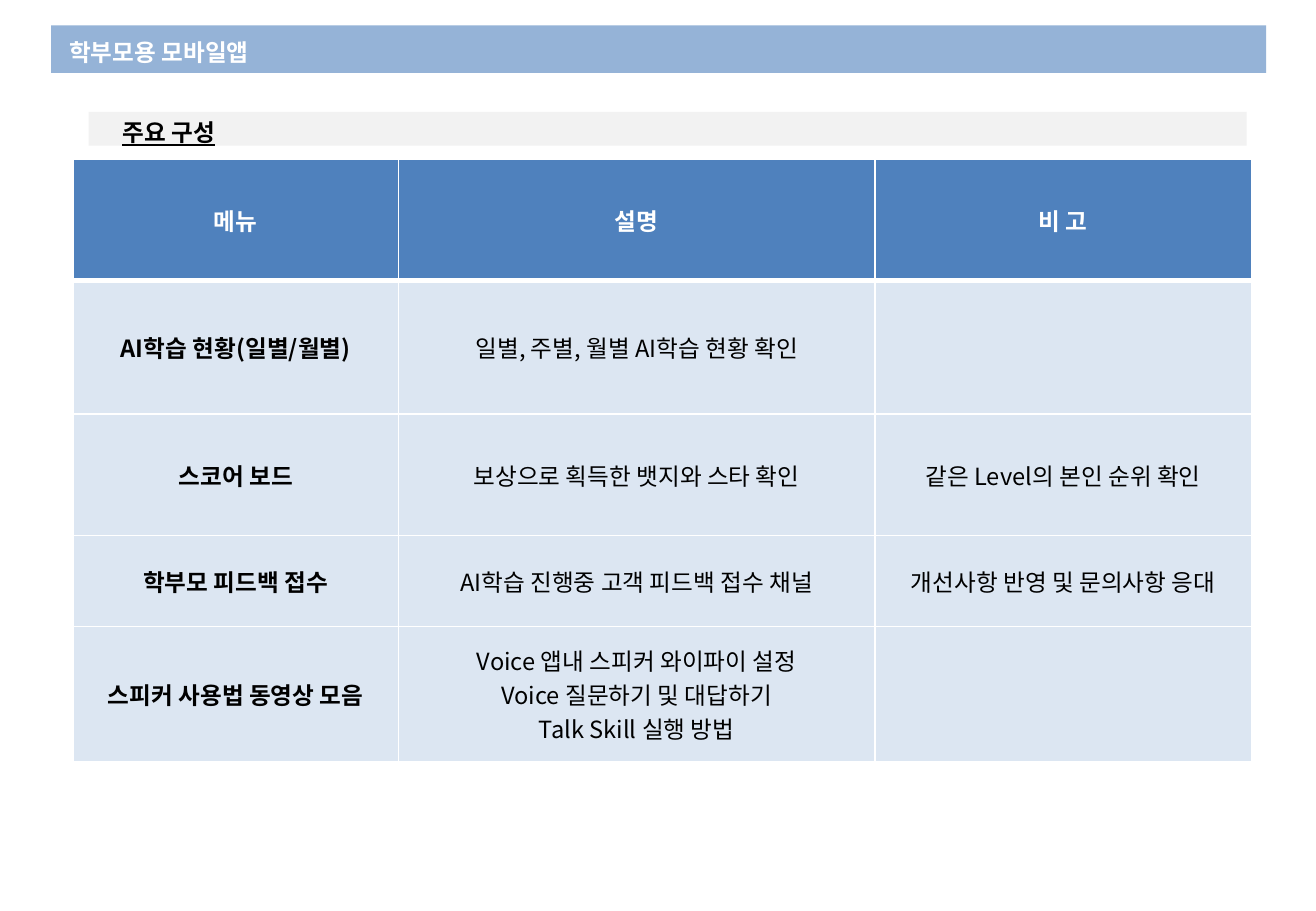
from typing import NamedTuple

from lxml.etree import SubElement
from pptx import Presentation
from pptx.dml.color import RGBColor
from pptx.enum.shapes import MSO_SHAPE as Preset
from pptx.enum.text import MSO_ANCHOR as Anchor, PP_ALIGN as Align
from pptx.oxml.ns import qn
from pptx.util import Inches, Pt

WIDTH, HEIGHT = Inches(10.83), Inches(7.5)
FONT, TEXT_SIZE = "Noto Sans CJK KR", 14
WHITE, BLACK = "FFFFFF", "000000"
HEADER_BLUE, BODY_BLUE = "4F81BD", "DCE6F2"
THIN, THICK = 1, 3


class Area(NamedTuple):
    """Left, top, width and height in percent of the slide."""
    left: float
    top: float
    width: float
    height: float

    def lengths(self) -> tuple:
        return (across(self.left), down(self.top),
                across(self.width), down(self.height))


class Banner(NamedTuple):
    text: str
    bar: Area
    text_area: Area
    fill: str
    color: str
    underline: bool


BANNERS = [
    Banner("학부모용 모바일앱", Area(3.88, 2.8, 92.34, 5.2),
           Area(4.34, 3.47, 92.34, 4.53), "95B3D7", WHITE, False),
    Banner("주요 구성", Area(6.74, 12.27, 88, 3.73),
           Area(8.4, 12.27, 79.59, 4.53), "F2F2F2", BLACK, True),
]

# Menu table: column and row sizes in percent of the slide
COLUMN_WIDTHS = [24.75, 36.2, 28.62]
ROW_HEIGHTS = [13.33, 14.67, 13.33, 10, 14.8]
TABLE_AREA = Area(5.54, 17.47, sum(COLUMN_WIDTHS), sum(ROW_HEIGHTS))
MENU_ROWS = [
    ("메뉴", "설명", "비 고"),
    ("AI학습 현황(일별/월별)", "일별, 주별, 월별 AI학습 현황 확인", ""),
    ("스코어 보드", "보상으로 획득한 뱃지와 스타 확인", "같은 Level의 본인 순위 확인"),
    ("학부모 피드백 접수", "AI학습 진행중 고객 피드백 접수 채널",
     "개선사항 반영 및 문의사항 응대"),
    ("스피커 사용법 동영상 모음",
     "Voice 앱내 스피커 와이파이 설정\nVoice 질문하기 및 대답하기\nTalk Skill 실행 방법", ""),
]


def across(percent: float) -> int:
    return round(WIDTH * percent / 100)


def down(percent: float) -> int:
    return round(HEIGHT * percent / 100)


def rgb(color: str) -> RGBColor:
    return RGBColor.from_string(color)


def paint(target, color: str) -> None:
    target.fill.solid()
    target.fill.fore_color.rgb = rgb(color)


def write(text_frame, text: str, color: str, bold: bool,
          align: Align = Align.LEFT, underline: bool = False) -> None:
    text_frame.text = text
    for paragraph in text_frame.paragraphs:
        paragraph.alignment = align
        for run in paragraph.runs:
            font = run.font
            font.name, font.size = FONT, Pt(TEXT_SIZE)
            font.bold, font.underline = bold, underline
            font.color.rgb = rgb(color)
            SubElement(font._element, qn("a:ea"), typeface=FONT)


def add_banner(slide, banner: Banner) -> None:
    bar = slide.shapes.add_shape(Preset.RECTANGLE, *banner.bar.lengths())
    bar.shadow.inherit = False
    paint(bar, banner.fill)
    bar.line.fill.background()
    text_box = slide.shapes.add_textbox(*banner.text_area.lengths())
    text_box.text_frame.word_wrap = True
    write(text_box.text_frame, banner.text, banner.color, True,
          underline=banner.underline)


def add_borders(cell, top: int, bottom: int) -> None:
    properties = cell._tc.get_or_add_tcPr()
    for side, points in zip("LRTB", (THIN, THIN, top, bottom)):
        line = SubElement(properties, qn(f"a:ln{side}"), w=str(Pt(points)))
        fill = SubElement(line, qn("a:solidFill"))
        SubElement(fill, qn("a:srgbClr"), val=WHITE)


def add_menu_table(slide) -> None:
    table = slide.shapes.add_table(len(ROW_HEIGHTS), len(COLUMN_WIDTHS),
                                   *TABLE_AREA.lengths()).table
    for column, width in zip(table.columns, COLUMN_WIDTHS):
        column.width = across(width)
    for row, height in zip(table.rows, ROW_HEIGHTS):
        row.height = down(height)
    for row_index, texts in enumerate(MENU_ROWS):
        is_header = row_index == 0
        for column_index, text in enumerate(texts):
            cell = table.cell(row_index, column_index)
            add_borders(cell, THICK if row_index == 1 else THIN,
                        THICK if is_header else THIN)
            paint(cell, HEADER_BLUE if is_header else BODY_BLUE)
            cell.vertical_anchor = Anchor.MIDDLE
            write(cell.text_frame, text, WHITE if is_header else BLACK,
                  is_header or column_index == 0, Align.CENTER)


presentation = Presentation()
presentation.slide_width, presentation.slide_height = WIDTH, HEIGHT
slide = presentation.slides.add_slide(presentation.slide_layouts[6])

# Title and section heading
for banner in BANNERS:
    add_banner(slide, banner)

# Menu overview
add_menu_table(slide)

presentation.save("out.pptx")
